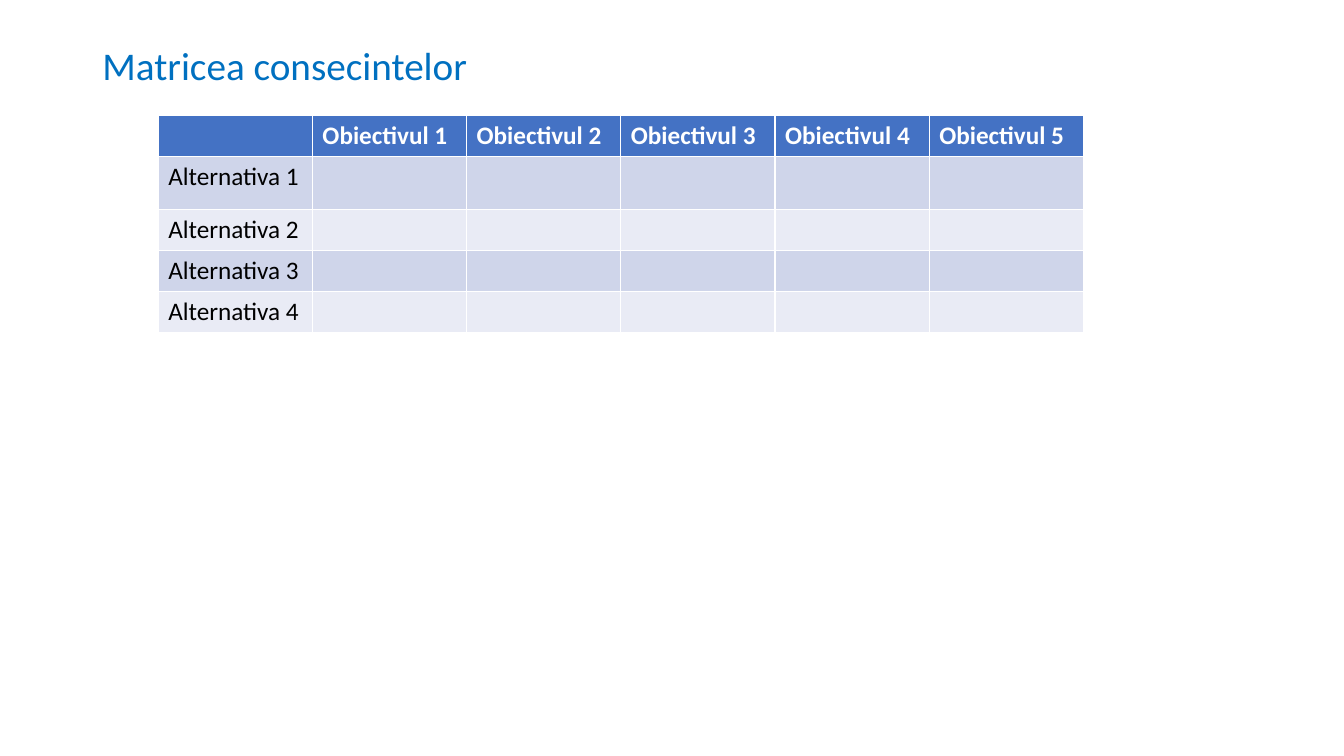
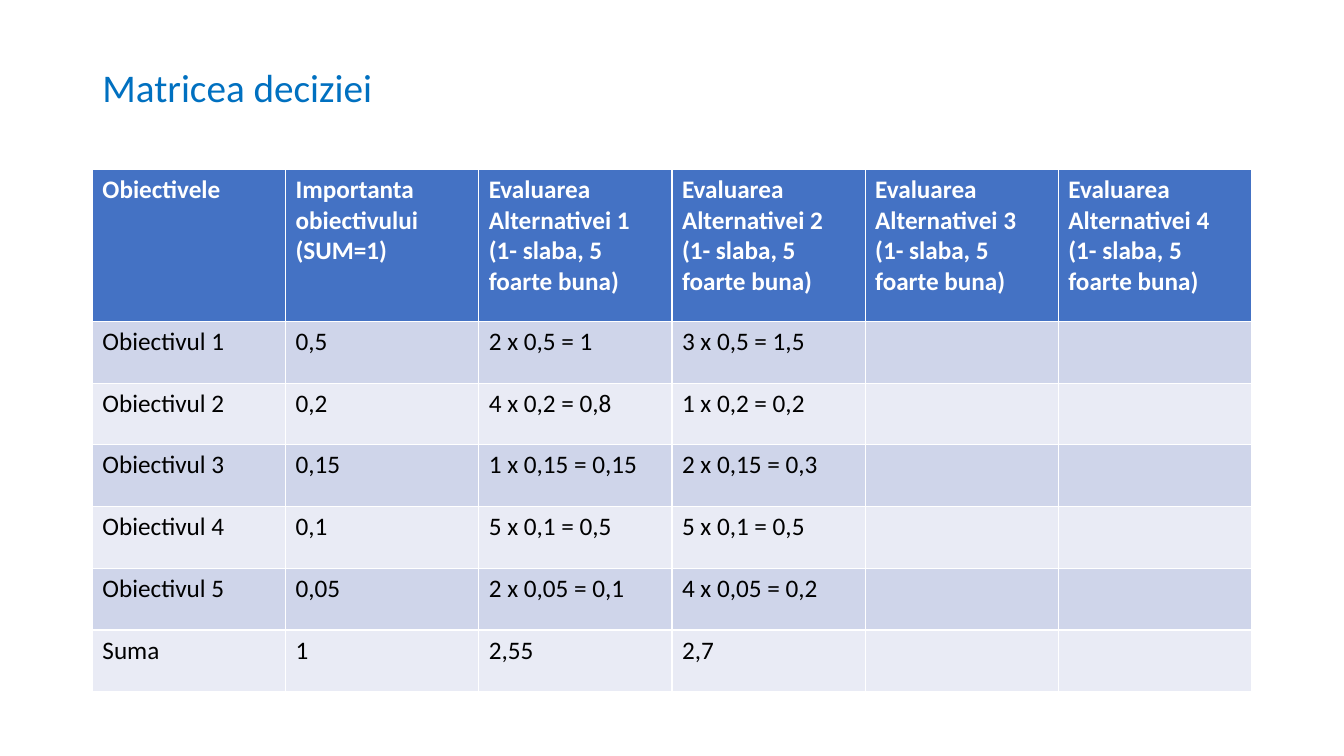
import pptx
import pptx.util
import pptx.dml.color
import pptx.enum.text

Pt = pptx.util.Pt
RGB = pptx.dml.color.RGBColor

# Shared look
FONT = "Calibri"
BLUE = RGB(0x00, 0x70, 0xC0)
HEAD = RGB(0x44, 0x72, 0xC4)
BANDS = RGB(0xE9, 0xEB, 0xF5), RGB(0xCF, 0xD5, 0xEA)
WHITE = RGB(0xFF, 0xFF, 0xFF)
BLACK = RGB(0x00, 0x00, 0x00)
LEFT, WIDE = 66, 828


def style(para, size, color, bold=False):
    para.font.name = FONT
    para.font.size = Pt(size)
    para.font.bold = bold
    para.font.color.rgb = color


def add_title(slide, text, top):
    title = slide.shapes.title
    title.left, title.top = Pt(LEFT), Pt(top)
    title.width, title.height = Pt(WIDE), Pt(40)
    frame = title.text_frame
    frame.text = text
    frame.auto_size = pptx.enum.text.MSO_AUTO_SIZE.NONE
    frame.vertical_anchor = pptx.enum.text.MSO_ANCHOR.TOP
    para = frame.paragraphs[0]
    para.alignment = pptx.enum.text.PP_ALIGN.LEFT
    para.line_spacing = 0.9
    style(para, 28, BLUE)


def add_grid(slide, rows, left, top, width, heights):
    """Banded table with a dark header; short rows end in empty cells."""
    count = len(rows[0])
    table = slide.shapes.add_table(
        len(rows), count, Pt(left), Pt(top), Pt(width), Pt(sum(heights))).table
    for col in table.columns:
        col.width = Pt(width / count)
    for r, (row, high) in enumerate(zip(rows, heights)):
        table.rows[r].height = Pt(high)
        for c in range(count):
            cell = table.cell(r, c)
            cell.fill.solid()
            cell.fill.fore_color.rgb = BANDS[r % 2] if r else HEAD
            cell.text = row[c] if c < len(row) else ""
            style(cell.text_frame.paragraphs[0], 18,
                  BLACK if r else WHITE, bold=r == 0)


def add_slide(deck, title, top, rows, box, heights):
    slide = deck.slides.add_slide(deck.slide_layouts[5])
    add_title(slide, title, top)
    add_grid(slide, rows, *box, heights)


def main():
    deck = pptx.Presentation()
    deck.slide_width, deck.slide_height = Pt(960), Pt(540)
    goals = [f"Obiectivul {n}" for n in range(1, 6)]

    # Consequence matrix
    rows = [["", *goals]] + [[f"Alternativa {n}"] for n in range(1, 5)]
    add_slide(deck, "Matricea consecintelor", 29.5, rows,
              (113, 82.5, 661), [29.2, 38.2, 29.2, 29.2, 29.2])

    # Decision matrix
    scores = [
        ["0,5", "2 x 0,5 = 1", "3 x 0,5 = 1,5"],
        ["0,2", "4 x 0,2 = 0,8", "1 x 0,2 = 0,2"],
        ["0,15", "1 x 0,15 = 0,15", "2 x 0,15 = 0,3"],
        ["0,1", "5 x 0,1 = 0,5", "5 x 0,1 = 0,5"],
        ["0,05", "2 x 0,05 = 0,1", "4 x 0,05 = 0,2"],
    ]
    heads = [f"Evaluarea Alternativei {n} (1- slaba, 5 foarte buna)"
             for n in range(1, 5)]
    rows = [["Obiectivele", "Importanta obiectivului (SUM=1)", *heads]]
    rows += [[goal, *score] for goal, score in zip(goals, scores)]
    rows.append(["Suma", "1", "2,55", "2,7"])
    add_slide(deck, "Matricea deciziei", 45.4, rows,
              (LEFT, 121, WIDE), [108.6] + [44.1] * 6)

    deck.save("out.pptx")


if __name__ == "__main__":
    main()
